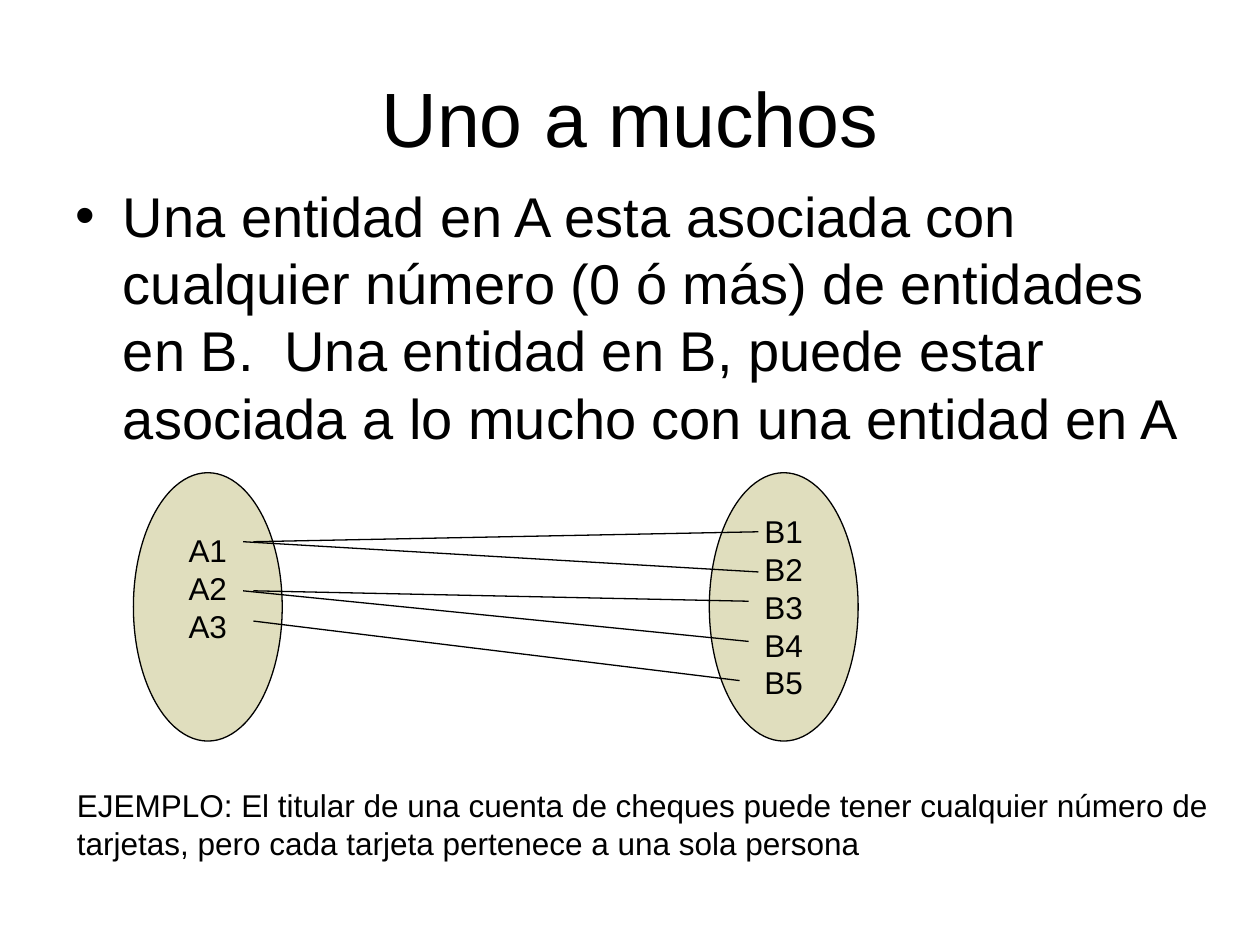
from lxml.etree import SubElement
from pptx import Presentation
from pptx.dml.color import RGBColor
from pptx.enum.shapes import MSO_CONNECTOR as Connector, MSO_SHAPE as Shape
from pptx.enum.text import MSO_ANCHOR as Anchor, PP_ALIGN as Align
from pptx.oxml.ns import qn
from pptx.util import Cm, Pt


def color(value):
    return RGBColor.from_string(value)


class Slide:
    FONT = "Arial"
    INK = "000000"
    FILL = "E0DEBE"
    LINE_WIDTH = 0.75

    def __init__(self, deck):
        self.page = deck.slides.add_slide(deck.slide_layouts[1])

    def set_text(self, box, lines, size, align):
        frame = box.text_frame
        frame.text = "\n".join(lines)
        for para in frame.paragraphs:
            para.alignment = align
            para.font.name = self.FONT
            para.font.size = Pt(size)
            para.font.color.rgb = color(self.INK)
        return frame

    def outline(self, item):
        item.line.color.rgb = color(self.INK)
        item.line.width = Pt(self.LINE_WIDTH)

    def place(self, box, left, top, width, height):
        box.left, box.top = Cm(left), Cm(top)
        box.width, box.height = Cm(width), Cm(height)

    def title(self, text, *area):
        box = self.page.shapes.title
        self.place(box, *area)
        self.set_text(box, [text], 44, Align.CENTER)

    def body(self, text, *area):
        box = self.page.placeholders[1]
        self.place(box, *area)
        frame = self.set_text(box, [text], 32, Align.LEFT)
        frame.paragraphs[0].space_before = Pt(8)

    def entity_set(self, names, left, bottom_inset=0.13):
        """Draw an ellipse that lists the entities of one set."""
        oval = self.page.shapes.add_shape(
            Shape.OVAL, Cm(left), Cm(9.53), Cm(3), Cm(5.41))
        oval.shadow.inherit = False
        oval.fill.solid()
        oval.fill.fore_color.rgb = color(self.FILL)
        self.outline(oval)
        frame = self.set_text(oval, names, 18, Align.CENTER)
        frame.vertical_anchor = Anchor.MIDDLE
        frame.word_wrap = False
        frame.margin_bottom = Cm(bottom_inset)

    def link(self, x1, y1, x2, y2):
        line = self.page.shapes.add_connector(
            Connector.STRAIGHT, Cm(x1), Cm(y1), Cm(x2), Cm(y2))
        self.outline(line)
        SubElement(line._element.spPr, qn("a:effectLst"))

    def note(self, lines, *area):
        box = self.page.shapes.add_textbox(*map(Cm, area))
        self.set_text(box, lines, 18, Align.LEFT).word_wrap = False


def main():
    deck = Presentation()
    deck.slide_width, deck.slide_height = Cm(25.4), Cm(19.05)
    slide = Slide(deck)
    slide.title("Uno a muchos", 1.27, 0.76, 22.86, 3.18)
    slide.body(
        "Una entidad en A esta asociada con cualquier número (0 ó más) de "
        "entidades en B.  Una entidad en B, puede estar asociada a lo mucho "
        "con una entidad en A",
        1.27, 3.53, 22.86, 13.49)

    # The larger inset lifts the three names above the middle of the ellipse.
    slide.entity_set([f"A{n}" for n in range(1, 4)], 2.69, bottom_inset=0.89)
    slide.entity_set([f"B{n}" for n in range(1, 6)], 14.3)
    links = [
        (5.11, 10.92, 15.29, 10.72),
        (4.9, 10.92, 15.29, 11.53),
        (5.11, 11.91, 15.09, 12.12),
        (4.9, 11.91, 15.09, 12.93),
        (5.11, 12.52, 14.91, 13.72),
    ]
    for ends in links:
        slide.link(*ends)

    slide.note(
        ["EJEMPLO: El titular de una cuenta de cheques puede tener cualquier "
         "número de",
         "tarjetas, pero cada tarjeta pertenece a una sola persona"],
        1.3, 15.72, 23.47, 1.78)
    deck.save("out.pptx")


if __name__ == "__main__":
    main()
